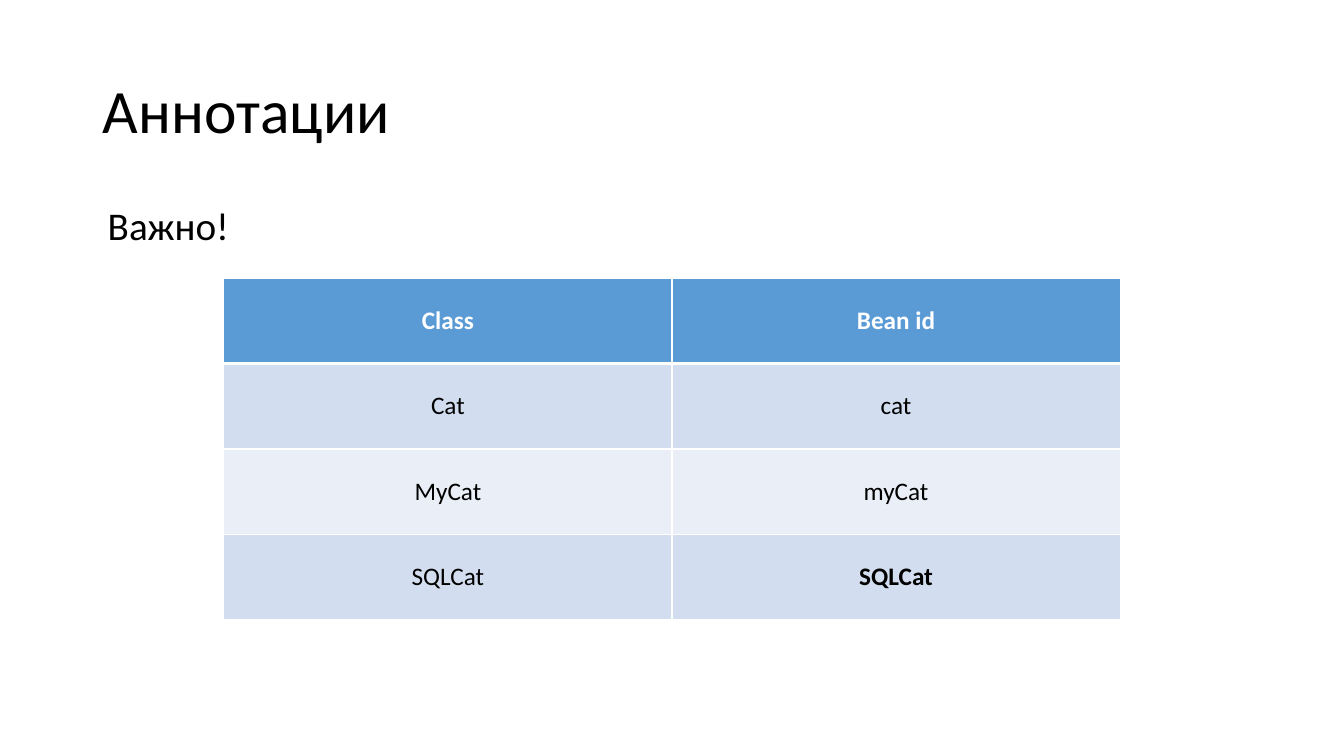
from lxml.etree import SubElement as Sub
from pptx import Presentation
from pptx.dml.color import RGBColor as RGB
from pptx.enum.text import MSO_ANCHOR as Anchor, PP_ALIGN as Align
from pptx.oxml.ns import qn
from pptx.util import Inches, Pt

BLACK = RGB(0x00, 0x00, 0x00)
WHITE = RGB(0xFF, 0xFF, 0xFF)
BLUE = RGB(0x5B, 0x9B, 0xD5)
BANDS = (RGB(0xD2, 0xDE, 0xEF), RGB(0xEA, 0xEF, 0xF7))

BEANS = [
    ("Class", "Bean id"),
    ("Cat", "cat"),
    ("MyCat", "myCat"),
    ("SQLCat", "SQLCat"),
]


class Page:
    """Holds the text style and the current slide."""

    font = "Calibri"

    def __init__(self, deck):
        self.slide = deck.slides.add_slide(deck.slide_layouts[5])

    def label(self, frame, text, size, color=BLACK, bold=False, align=Align.LEFT):
        frame.text = text
        para = frame.paragraphs[0]
        para.alignment = align
        font = para.runs[0].font
        font.name, font.size, font.bold = self.font, Pt(size), bold
        font.color.rgb = color
        return para

    def title(self, text, box):
        shape = self.slide.shapes.title
        shape.left, shape.top, shape.width, shape.height = map(Inches, box)
        shape.text_frame.vertical_anchor = Anchor.MIDDLE
        self.label(shape.text_frame, text, 44).line_spacing = 0.9

    def text(self, text, box):
        frame = self.slide.shapes.add_textbox(*map(Inches, box)).text_frame
        frame.word_wrap = True
        para = self.label(frame, text, 28)
        para.line_spacing = 0.9
        para.space_before = Pt(10)

    def edge(self, cell, side, width):
        props = cell._tc.get_or_add_tcPr()
        line = Sub(props, qn("a:ln" + side), w=str(Pt(width)))
        Sub(Sub(line, qn("a:solidFill")), qn("a:srgbClr"), val=str(WHITE))

    def table(self, rows, box):
        count = len(rows)
        shape = self.slide.shapes.add_table(count, len(rows[0]), *map(Inches, box))
        for r, row in enumerate(rows):
            head = r == 0
            for c, text in enumerate(row):
                cell = shape.table.cell(r, c)
                cell.vertical_anchor = Anchor.MIDDLE
                # The rule under the header is thicker
                widths = {"L": 1, "R": 1, "T": 3 if r == 1 else 1, "B": 3 if head else 1}
                for side, width in widths.items():
                    self.edge(cell, side, width)
                cell.fill.solid()
                cell.fill.fore_color.rgb = BLUE if head else BANDS[(r - 1) % 2]
                # The exception to the naming rule stands out in bold
                bold = head or (r, c) == (count - 1, 1)
                self.label(cell.text_frame, text, 18, WHITE if head else BLACK,
                           bold, Align.CENTER)


def main():
    deck = Presentation()
    deck.slide_width, deck.slide_height = Inches(13.33), Inches(7.5)
    page = Page(deck)

    # Heading and lead
    page.title("Аннотации", (0.92, 0.4, 11.5, 1.45))
    page.text("Важно!", (0.97, 2, 11.45, 4.76))

    # Class names and their bean ids
    page.table(BEANS, (2.22, 2.76, 8.89, 3.39))
    deck.save("out.pptx")


if __name__ == "__main__":
    main()
